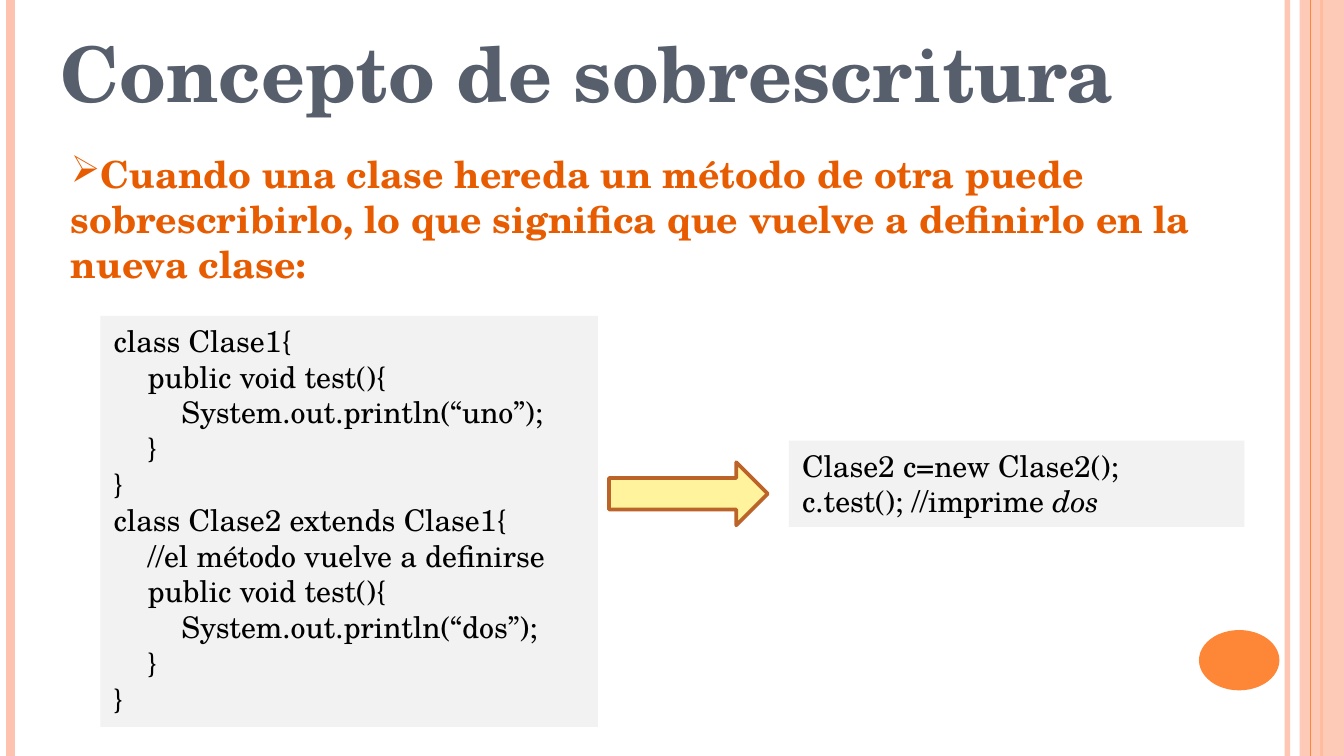
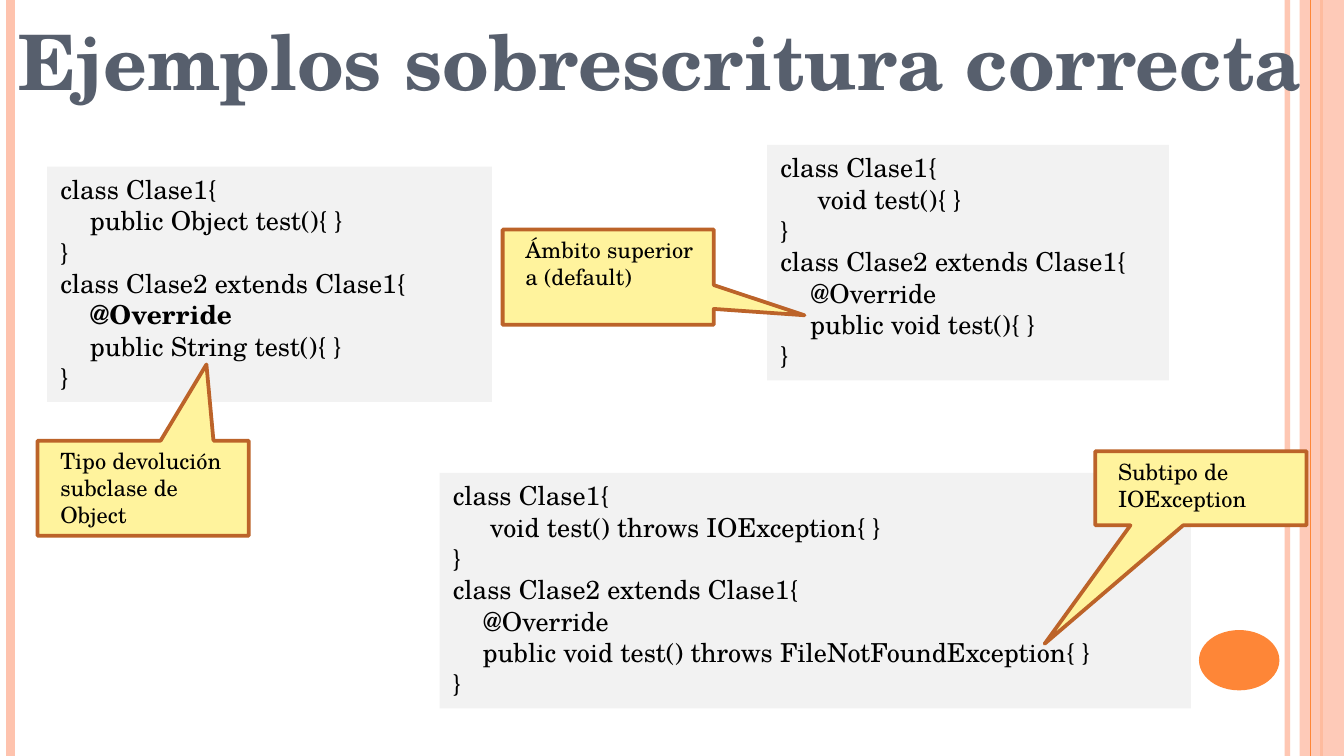
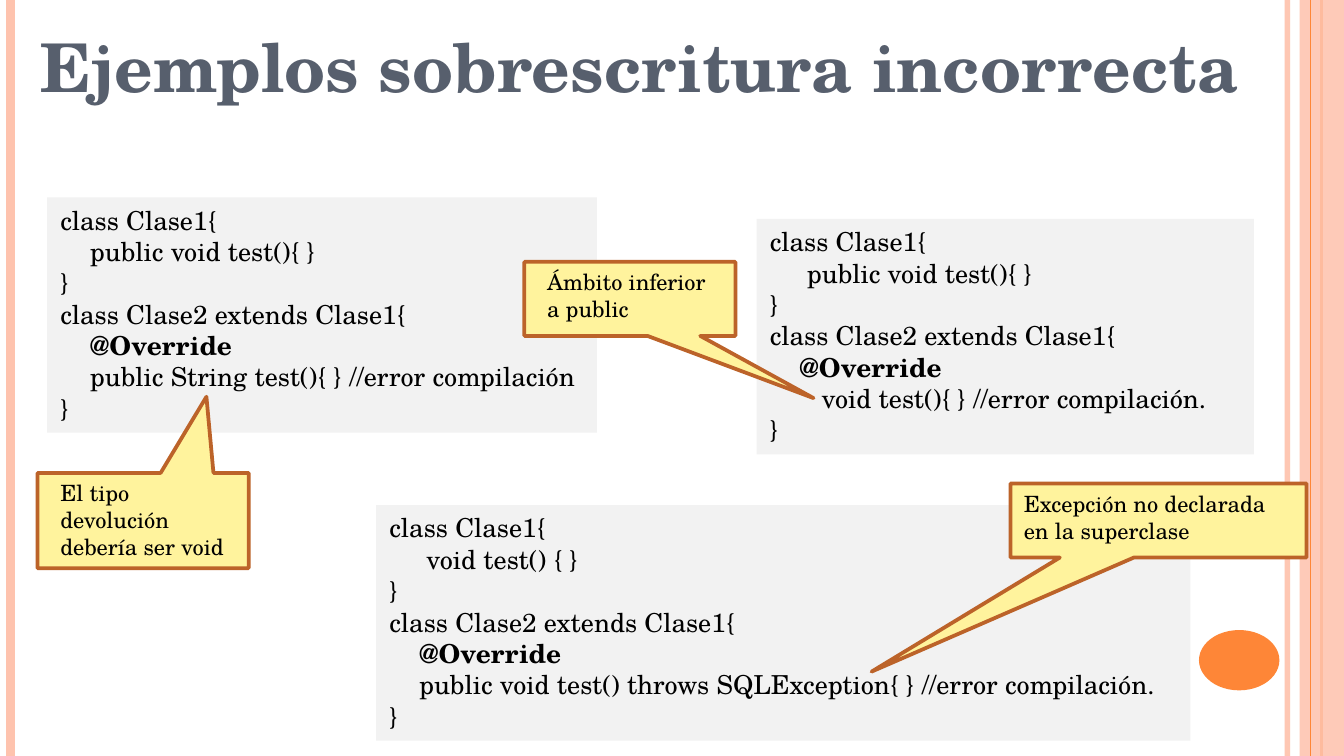
from lxml.etree import SubElement
from pptx import Presentation
from pptx.dml.color import RGBColor
from pptx.enum.shapes import MSO_CONNECTOR, MSO_SHAPE
from pptx.enum.text import MSO_ANCHOR, PP_ALIGN
from pptx.oxml.ns import qn
from pptx.util import Cm, Pt

COLORS = {
    "pink": "FEC3AE",
    "orange": "FE8637",
    "slate": "575F6D",
    "ember": "E75C01",
    "gray": "F2F2F2",
    "yellow": "FFF39D",
    "brown": "BC6329",
    "black": "000000",
}
FONT = "TeX Gyre Schola"
SLIDE_WIDTH, SLIDE_HEIGHT = 25.4, 14.29
TITLE_HEIGHT = 2.26
EXAMPLE_HEIGHT = 4.45

STYLES = {
    "title": ("slate", {"size": Pt(41), "bold": True}),
    "long title": ("slate", {"size": Pt(36), "bold": True}),
    "statement": ("ember", {"size": Pt(20), "bold": True}),
    "code": ("black", {"size": Pt(16)}),
    "example": ("black", {"size": Pt(14)}),
    "label": ("black", {"size": Pt(12)}),
}
BOLD = {"bold": True}
ITALIC = {"italic": True}

STRIPES = [
    ("line", 24.33, "pink", 3, 93),
    ("line", 0.2, "pink", 4.5, 100),
    ("line", 24.97, "orange", 1.5, 100),
    ("band", 24.56, "pink", 0.84, 87),
    ("line", 24.77, "orange", 0.75, 100),
]
DISC = (22.66, 11.91, 1.52, 1.14)

STATEMENT = (
    "Cuando una clase hereda un método de otra puede sobrescribirlo, "
    "lo que significa que vuelve a definirlo en la nueva clase:"
)
DEFINITION = [
    (0, "class Clase1{"),
    (4, "public void test(){"),
    (8, "System.out.println(“uno”);"),
    (4, "}"),
    (0, "}"),
    (0, "class Clase2 extends Clase1{"),
    (4, "//el método vuelve a definirse"),
    (4, "public void test(){"),
    (8, "System.out.println(“dos”);"),
    (4, "}"),
    (0, "}"),
]
USAGE = [
    (0, "Clase2 c=new Clase2();"),
    (0, "c.test(); //imprime ", ("dos", ITALIC)),
]

EXAMPLE_SLIDES = [
    {
        "title": ("Ejemplos sobrescritura correcta", "title", 0.1, 0.15, 25.6),
        "examples": [
            (0.89, 3.15, 8.41, (4, "public Object test(){ }"), BOLD,
             (4, "public String test(){ }")),
            (14.5, 2.74, 7.59, (5, "void test(){ }"), {},
             (4, "public void test(){ }")),
            (8.31, 8.94, 14.2, (5, "void test() throws IOException{ }"), {},
             (4, "public void test() throws FileNotFoundException{ }")),
        ],
        "callouts": [
            ("Tipo devolución subclase de Object", (0.71, 8.33, 3.99, 1.8), (0.3, -1.3), 0.18),
            ("Subtipo de IOException", (20.7, 8.53, 3.99, 1.4), (-0.74, 2.1), 0.18),
            ("Ámbito superior a (default)", (9.5, 4.34, 3.99, 1.8), (0.93, 0.4), 0.18),
        ],
    },
    {
        "title": ("Ejemplos sobrescritura incorrecta", "long title", 0.51, 0.36, 26.29),
        "examples": [
            (0.89, 3.73, 10.39, (4, "public void test(){ }"), BOLD,
             (4, "public String test(){ } //error compilación")),
            (14.3, 4.14, 9.4, (5, "public void test(){ }"), BOLD,
             (7, "void test(){ } //error compilación.")),
            (7.11, 9.55, 15.39, (5, "void test() { }"), BOLD,
             (4, "public void test() throws SQLException{ } //error compilación.")),
        ],
        "callouts": [
            ("El tipo devolución debería ser void", (0.71, 8.94, 3.99, 1.8), (0.3, -1.3), 0.18),
            ("Excepción no declarada en la superclase", (19.1, 9.14, 5.59, 1.4), (-0.97, 2.04), 0),
            ("Ámbito inferior a public", (9.91, 4.95, 3.99, 1.4), (0.87, 1.34), 0.18),
        ],
    },
]


def color(name):
    return RGBColor.from_string(COLORS[name])


def set_opacity(shape, percent):
    for node in shape.element.iter(qn("a:srgbClr")):
        SubElement(node, qn("a:alpha")).set("val", str(percent * 1000))


def add_block(slide, kind, box, fill, outline=None):
    shape = slide.shapes.add_shape(kind, *map(Cm, box))
    shape.shadow.inherit = False
    shape.fill.solid()
    shape.fill.fore_color.rgb = color(fill)
    if outline:
        shape.line.color.rgb = color(outline)
        shape.line.width = Pt(2)
    else:
        shape.line.fill.background()
    return shape


def add_stripe(slide, left, color_name, width):
    line = slide.shapes.add_connector(
        MSO_CONNECTOR.STRAIGHT, Cm(left), 0, Cm(left), Cm(SLIDE_HEIGHT)
    )
    line.line.color.rgb = color(color_name)
    line.line.width = Pt(width)
    SubElement(line.element.spPr, qn("a:effectLst"))
    return line


def write_lines(shape, lines, style):
    color_name, values = STYLES[style]
    frame = shape.text_frame
    frame.word_wrap = True
    frame.vertical_anchor = MSO_ANCHOR.TOP
    for index, (spaces, *runs) in enumerate(lines):
        paragraph = frame.add_paragraph() if index else frame.paragraphs[0]
        paragraph.alignment = PP_ALIGN.LEFT
        if spaces:
            indent = Cm(spaces * values["size"].pt / 100)
            paragraph._p.get_or_add_pPr().set("marL", str(indent))
        for item in runs:
            text, extra = (item, {}) if isinstance(item, str) else item
            run = paragraph.add_run()
            run.text = text
            run.font.color.rgb = color(color_name)
            for attribute, value in {"name": FONT, **values, **extra}.items():
                setattr(run.font, attribute, value)


def add_text(slide, box, text, style):
    shape = slide.shapes.add_textbox(*map(Cm, box))
    write_lines(shape, [(0, text)], style)
    return shape


def add_code(slide, box, lines, style):
    write_lines(add_block(slide, MSO_SHAPE.RECTANGLE, box, "gray"), lines, style)


def add_callout(slide, text, box, tip, shift):
    callout = add_block(slide, MSO_SHAPE.RECTANGULAR_CALLOUT, box, "yellow", "brown")
    for index, value in enumerate(tip):
        callout.adjustments[index] = value
    left, top, width, height = box
    add_text(slide, (left + shift, top, width - shift, height), text, "label")


def override_lines(parent, override_format, child):
    return [
        (0, "class Clase1{"),
        parent,
        (0, "}"),
        (0, "class Clase2 extends Clase1{"),
        (4, ("@Override", override_format)),
        child,
        (0, "}"),
    ]


def decorate_layout(slide):
    for kind, left, color_name, width, opacity in STRIPES:
        if kind == "line":
            add_stripe_shape = add_stripe(slide, left, color_name, width)
        else:
            band = (left, 0, width, SLIDE_HEIGHT)
            add_stripe_shape = add_block(slide, MSO_SHAPE.RECTANGLE, band, color_name)
        if opacity < 100:
            set_opacity(add_stripe_shape, opacity)
    add_block(slide, MSO_SHAPE.OVAL, DISC, "orange")
    for shape in list(slide.shapes):
        slide.slide_layout.shapes.element.append(shape.element)


def build_concept(slide):
    add_text(slide, (0.89, 0.36, 23.01, TITLE_HEIGHT), "Concepto de sobrescritura", "title")
    statement = add_text(slide, (1.09, 2.74, 22.61, 6.45), STATEMENT, "statement")
    paragraph = statement.text_frame.paragraphs[0]
    for attribute, value in {"space_before": Pt(6), "space_after": Pt(12)}.items():
        setattr(paragraph, attribute, value)
    properties = paragraph._p.get_or_add_pPr()
    for name, value in {"marL": "0", "indent": "0"}.items():
        properties.set(name, value)
    SubElement(properties, qn("a:buChar")).set("char", "➢")
    add_code(slide, (1.9, 5.97, 9.4, 7.77), DEFINITION, "code")
    add_code(slide, (14.91, 8.33, 8.61, 1.63), USAGE, "code")
    add_block(slide, MSO_SHAPE.RIGHT_ARROW, (11.51, 8.74, 3, 1.19), "yellow", "brown")


def build_examples(slide, content):
    title, style, left, top, width = content["title"]
    add_text(slide, (left, top, width, TITLE_HEIGHT), title, style)
    for left, top, width, *example in content["examples"]:
        box = (left, top, width, EXAMPLE_HEIGHT)
        add_code(slide, box, override_lines(*example), "example")
    for callout in content["callouts"]:
        add_callout(slide, *callout)


def main():
    presentation = Presentation()
    presentation.slide_width = Cm(SLIDE_WIDTH)
    presentation.slide_height = Cm(SLIDE_HEIGHT)
    blank = presentation.slide_layouts[6]
    concept = presentation.slides.add_slide(blank)
    decorate_layout(concept)
    build_concept(concept)
    for content in EXAMPLE_SLIDES:
        build_examples(presentation.slides.add_slide(blank), content)
    presentation.save("out.pptx")


if __name__ == "__main__":
    main()
